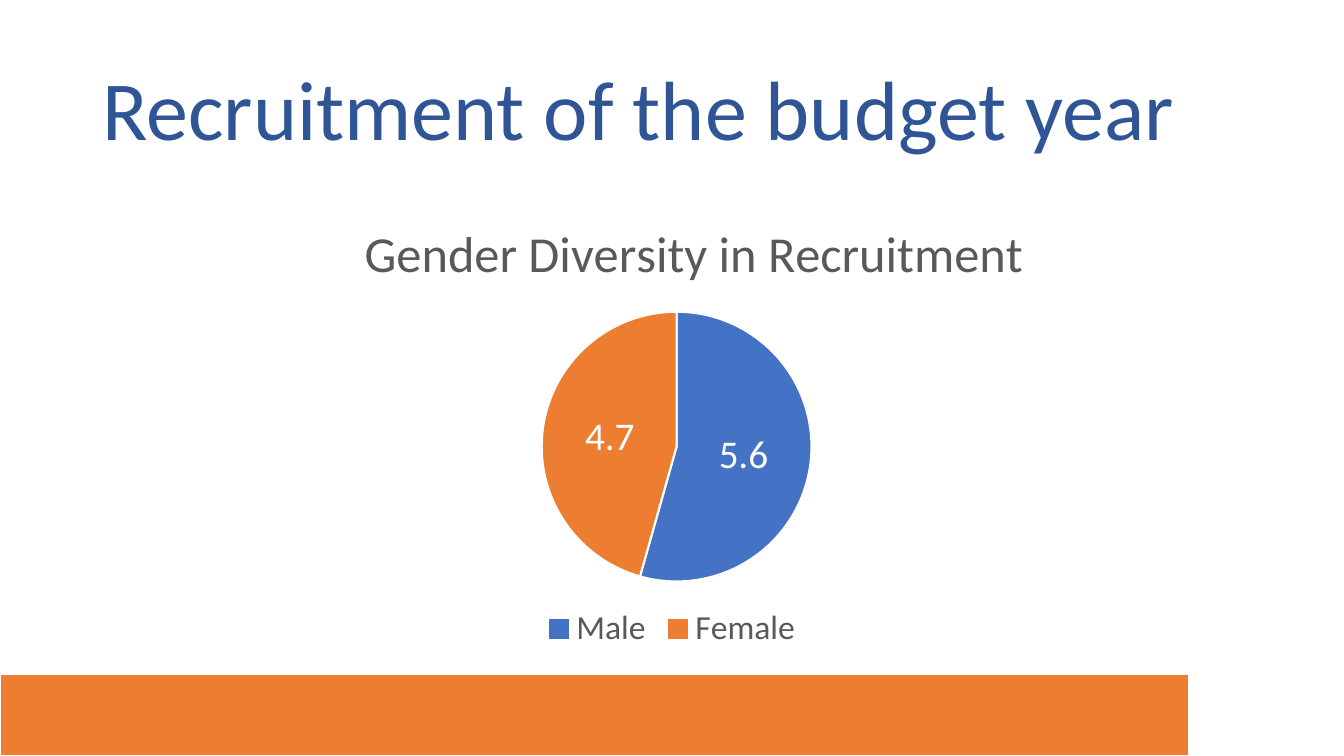
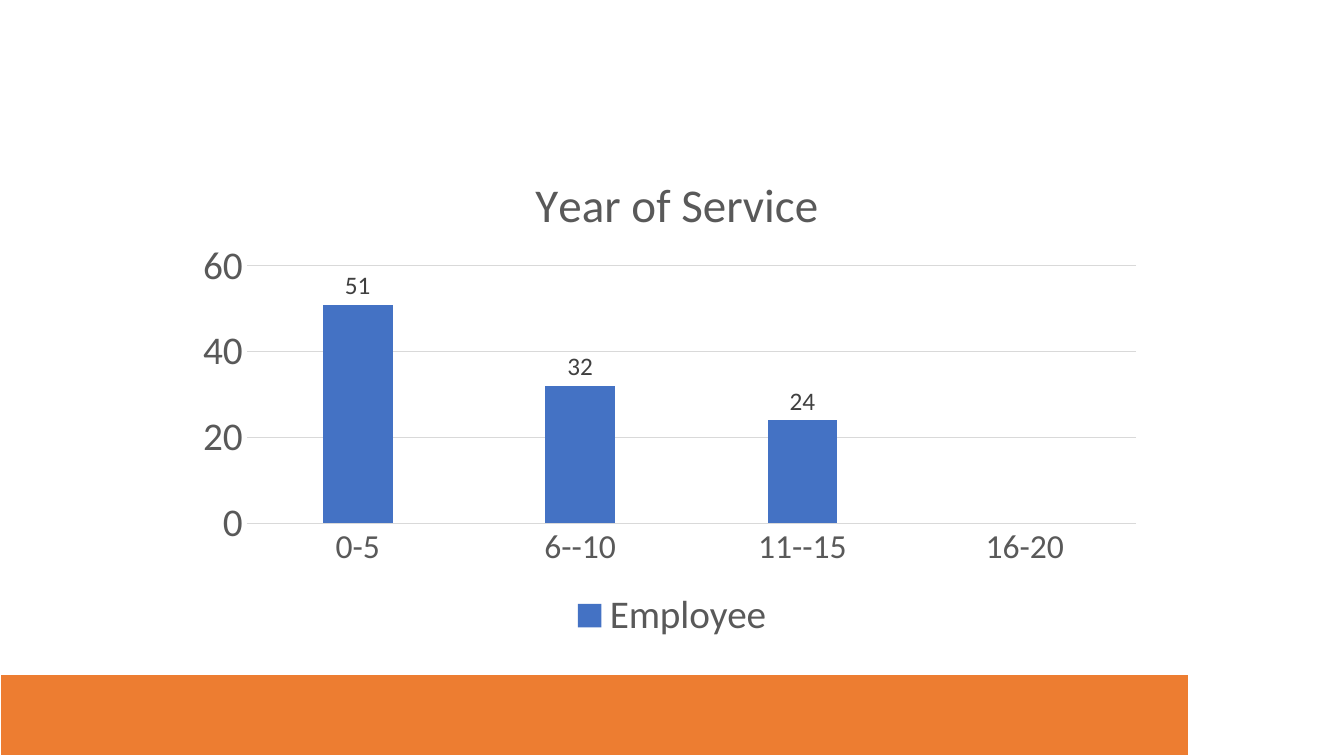
from lxml import etree
from pptx import Presentation
from pptx.chart.data import CategoryChartData
from pptx.dml.color import RGBColor
from pptx.enum.chart import XL_CHART_TYPE, XL_LABEL_POSITION, XL_LEGEND_POSITION, XL_TICK_MARK
from pptx.enum.shapes import MSO_SHAPE
from pptx.enum.text import MSO_ANCHOR
from pptx.oxml.ns import qn
from pptx.util import Inches, Pt

PIE, COLUMN = XL_CHART_TYPE.PIE, XL_CHART_TYPE.COLUMN_CLUSTERED
CENTER, OUTSIDE_END = XL_LABEL_POSITION.CENTER, XL_LABEL_POSITION.OUTSIDE_END
BOTTOM, NO_TICK = XL_LEGEND_POSITION.BOTTOM, XL_TICK_MARK.NONE
RECTANGLE, MIDDLE = MSO_SHAPE.RECTANGLE, MSO_ANCHOR.MIDDLE

FONT = "Calibri"
BLUE, ORANGE, NAVY = "4472C4", "ED7D31", "2F5597"
WHITE, GRAY, DARK_GRAY, GRID = "FFFFFF", "595959", "404040", "D9D9D9"

SLIDE_SIZE = (13.33, 7.5)
HEADING_BOX = (0.92, 0.4, 11.5, 1.45)
BAND_BOX = (0, 6.69, 11.79, 0.81)

# Title and plot positions are shares of the chart frame.
SLIDES = [
    {
        "heading": "Recruitment of the budget year",
        "type": PIE, "box": (2.05, 1.89, 9.23, 4.62),
        "title": "Gender Diversity in Recruitment", "title_size": 36,
        "title_at": (0.16, 0.04), "plot_at": (0.36, 0.26, 0.29, 0.58),
        "categories": ["Male", "Female"], "series": "Series 1", "values": [5.6, 4.7],
        "legend_size": 24,
        "labels": {"size": 28, "color": WHITE, "format": "0.0", "position": CENTER},
    },
    {
        "heading": None,
        "type": COLUMN, "box": (1.87, 1.31, 9.59, 5.11),
        "title": "Year of Service", "title_size": 33.6,
        "title_at": (0.35, 0.06), "plot_at": (0.06, 0.26, 0.92, 0.5),
        "categories": ["0-5", "6--10", "11--15", "16-20"],
        "series": "Employee", "values": [51, 32, 24, None],
        "legend_size": 28,
        "labels": {"size": 18, "color": DARK_GRAY, "format": "0", "position": OUTSIDE_END},
    },
]


def rgb(color):
    return RGBColor.from_string(color)


def inches(box):
    return [Inches(length) for length in box]


def style_font(font, size, color):
    font.name, font.size, font.bold = FONT, Pt(size), False
    font.color.rgb = rgb(color)


def fill_solid(part, color):
    part.format.fill.solid()
    part.format.fill.fore_color.rgb = rgb(color)


def style_line(line, color, width):
    line.color.rgb = rgb(color)
    line.width = Pt(width)


def place(parent, position, index, inner=False):
    """Give a chart part a manual layout, as shares of the chart frame."""
    for old in parent.findall(qn("c:layout")):
        parent.remove(old)
    layout = etree.Element(qn("c:layout"))
    manual = etree.SubElement(layout, qn("c:manualLayout"))
    settings = [("layoutTarget", "inner")] if inner else []
    settings += [("xMode", "edge"), ("yMode", "edge")]
    settings += zip("xywh", position)
    for name, value in settings:
        etree.SubElement(manual, qn(f"c:{name}")).set("val", str(value))
    parent.insert(index, layout)


def add_heading(slide, text):
    frame = slide.shapes.add_textbox(*inches(HEADING_BOX)).text_frame
    frame.word_wrap = True
    frame.vertical_anchor = MIDDLE
    paragraph = frame.paragraphs[0]
    paragraph.line_spacing = 0.9
    run = paragraph.add_run()
    run.text = text
    style_font(run.font, 60, NAVY)


def add_band(slide):
    band = slide.shapes.add_shape(RECTANGLE, *inches(BAND_BOX))
    band.shadow.inherit = False
    band.fill.solid()
    band.fill.fore_color.rgb = rgb(ORANGE)
    style_line(band.line, WHITE, 1.5)


def style_pie(chart):
    for index, color in enumerate((BLUE, ORANGE)):
        point = chart.plots[0].series[0].points[index]
        fill_solid(point, color)
        style_line(point.format.line, WHITE, 1.5)


def style_columns(chart):
    plot = chart.plots[0]
    plot.gap_width, plot.overlap = 219, -27
    fill_solid(plot.series[0], BLUE)
    category_axis, value_axis = chart.category_axis, chart.value_axis
    for axis, size in ((category_axis, 24), (value_axis, 28)):
        axis.major_tick_mark = axis.minor_tick_mark = NO_TICK
        style_font(axis.tick_labels.font, size, GRAY)
    style_line(category_axis.format.line, GRID, 0.75)
    value_axis.format.line.fill.background()
    value_axis.minimum_scale, value_axis.maximum_scale = 0, 60
    value_axis.major_unit = 20
    value_axis.has_major_gridlines = True
    style_line(value_axis.major_gridlines.format.line, GRID, 0.75)


def add_chart(slide, content):
    data = CategoryChartData()
    data.categories = content["categories"]
    data.add_series(content["series"], content["values"])
    chart = slide.shapes.add_chart(content["type"], *inches(content["box"]), data).chart
    chart.font.name = FONT

    chart.has_title = True
    run = chart.chart_title.text_frame.paragraphs[0].add_run()
    run.text = content["title"]
    style_font(run.font, content["title_size"], GRAY)
    chart.chart_title.include_in_layout = False
    place(chart.chart_title.element, content["title_at"], 1)
    place(chart.element.find(".//" + qn("c:plotArea")), content["plot_at"], 0, inner=True)

    chart.has_legend = True
    chart.legend.position = BOTTOM
    chart.legend.include_in_layout = False
    style_font(chart.legend.font, content["legend_size"], GRAY)

    plot = chart.plots[0]
    is_pie = content["type"] == PIE
    plot.vary_by_categories = is_pie
    (style_pie if is_pie else style_columns)(chart)

    plot.has_data_labels = True
    labels, style = plot.data_labels, content["labels"]
    labels.show_value = True
    labels.show_percentage = False
    labels.number_format = style["format"]
    labels.number_format_is_linked = False
    labels.position = style["position"]
    style_font(labels.font, style["size"], style["color"])


def main():
    presentation = Presentation()
    presentation.slide_width, presentation.slide_height = inches(SLIDE_SIZE)
    blank = presentation.slide_layouts[6]
    for content in SLIDES:
        slide = presentation.slides.add_slide(blank)
        if content["heading"]:
            add_heading(slide, content["heading"])
        add_chart(slide, content)
        add_band(slide)
    presentation.save("out.pptx")


if __name__ == "__main__":
    main()
